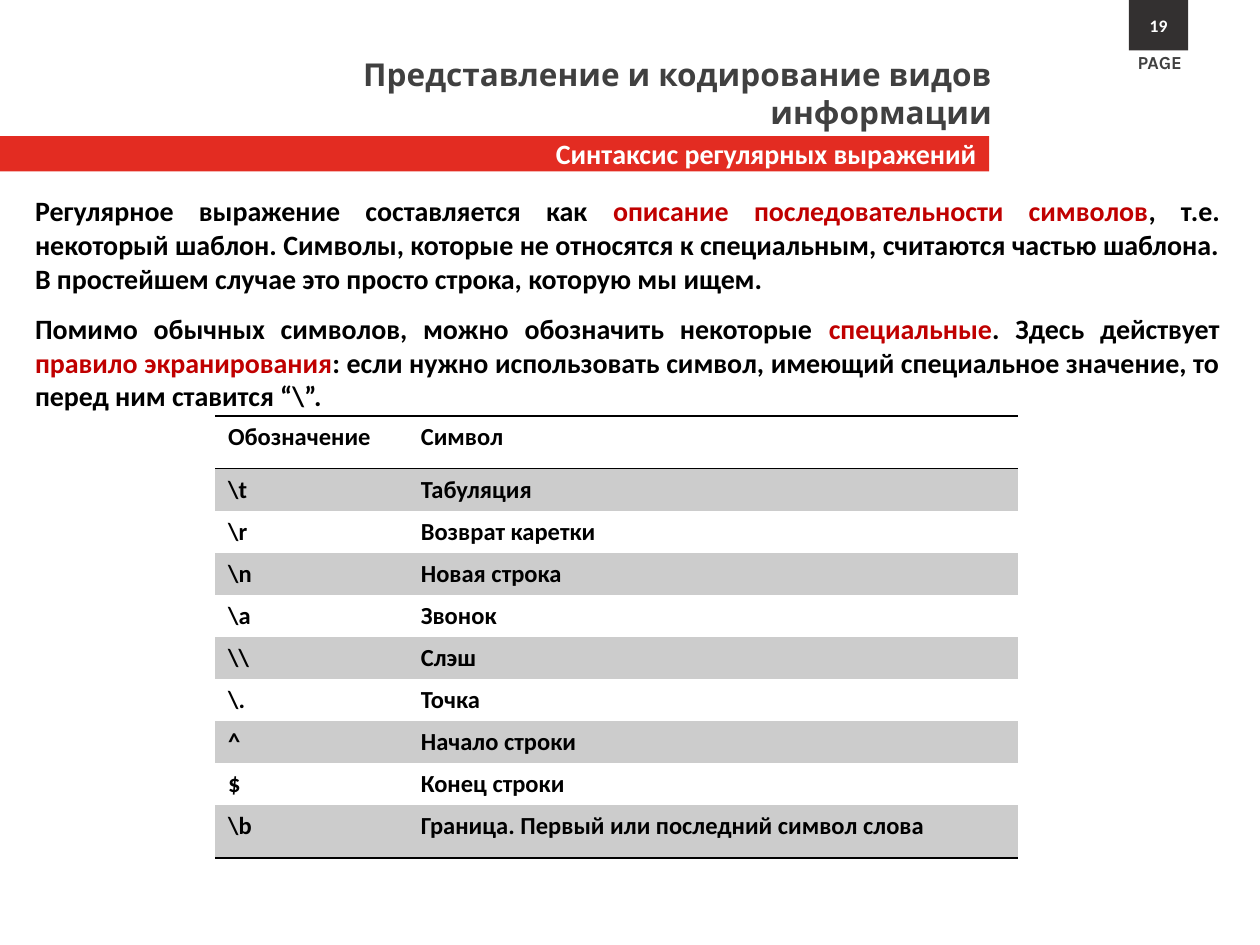
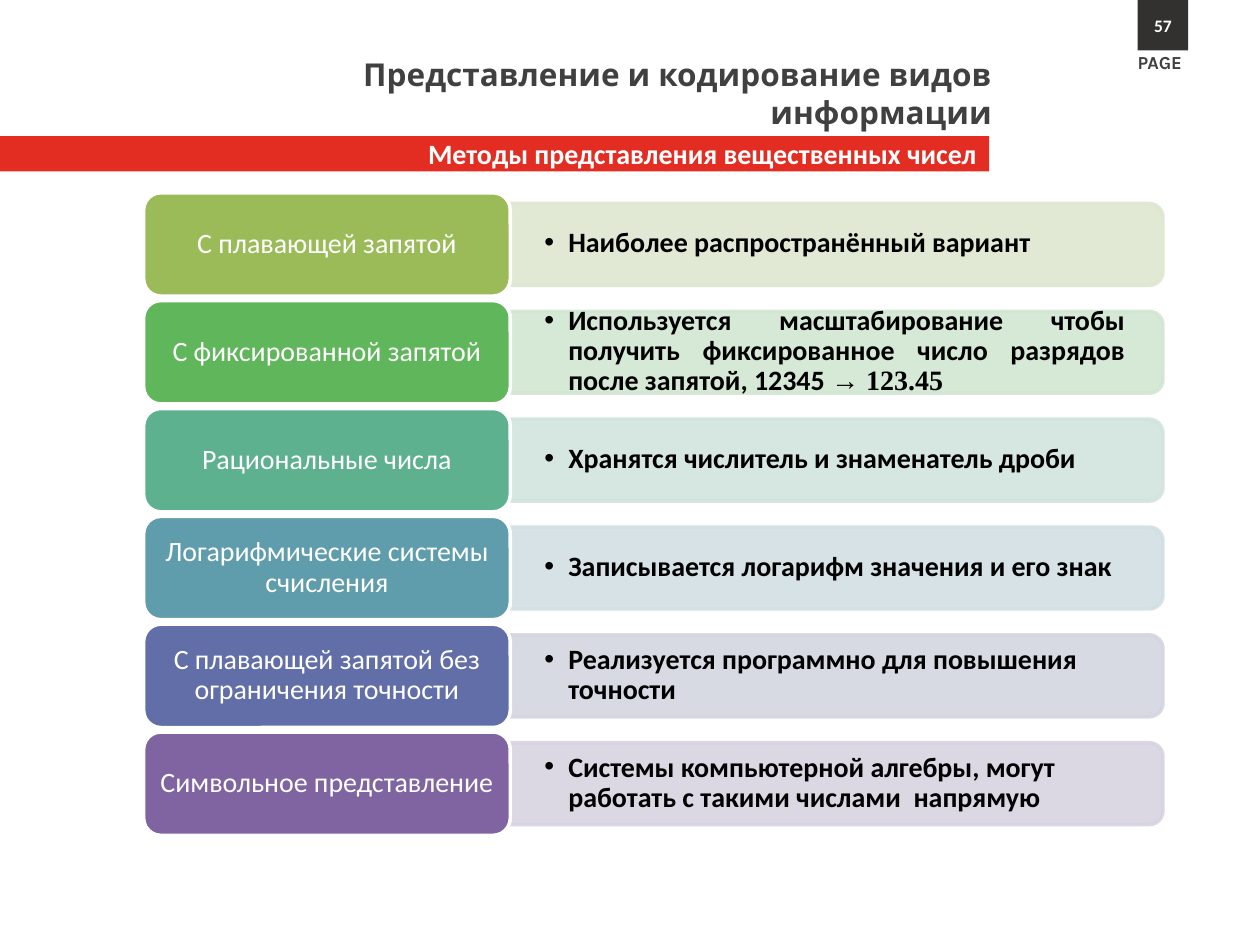
"""Build two slides on regular expressions and real numbers."""
from dataclasses import dataclass
from lxml.etree import SubElement
from pptx import Presentation
from pptx.dml.color import RGBColor
from pptx.enum.shapes import MSO_SHAPE as Kind
from pptx.enum.text import MSO_ANCHOR as Anchor, PP_ALIGN as Align
from pptx.oxml.ns import qn
from pptx.util import Inches, Pt


@dataclass(frozen=True)
class Theme:
    red: str = "E32C22"
    dark: str = "333030"
    gray: str = "404040"
    band: str = "CCCCCC"
    key: str = "C00000"
    black: str = "000000"
    white: str = "FFFFFF"
    sans: str = "Calibri"
    head: str = "Karla"
    serif: str = "Times New Roman"
    title: float = 18
    body: float = 16
    cell: float = 14
    page: float = 10.5
    num: float = 10


look = Theme()


def write(frame, *parts, size=look.body, color=look.black, bold=True, font=look.sans,
          align=Align.LEFT, anchor=Anchor.TOP, pad=(0.1, 0.05), wrap=True,
          lead=None, gap=None, mark=None):
    """Add one paragraph; a part is text or (text, color, font)."""
    frame.word_wrap = wrap
    frame.vertical_anchor = anchor
    frame.margin_left = frame.margin_right = Inches(pad[0])
    frame.margin_top = frame.margin_bottom = Inches(pad[1])
    para = frame.paragraphs[0]
    if para.runs:
        para = frame.add_paragraph()
    para.alignment = align
    if lead:
        para.line_spacing = lead
    if gap:
        para.space_before = Pt(gap)
    if mark:
        props = para._p.get_or_add_pPr()
        props.set("marL", str(Inches(0.19)))
        props.set("indent", str(-Inches(0.19)))
        SubElement(props, qn("a:buFont"), typeface="Arial")
        SubElement(props, qn("a:buChar"), char=mark)
    for part in parts:
        text, tint, face = (part, color, font) if isinstance(part, str) else part
        run = para.add_run()
        run.text = text
        run.font.size = Pt(size)
        run.font.bold = bold
        run.font.name = face
        run.font.color.rgb = RGBColor.from_string(tint)


def block(slide, kind, box, fill, line=None):
    """Add a flat filled shape."""
    shape = slide.shapes.add_shape(kind, *map(Inches, box))
    shape.shadow.inherit = False
    shape.fill.solid()
    shape.fill.fore_color.rgb = RGBColor.from_string(fill)
    if line:
        shape.line.color.rgb = RGBColor.from_string(line)
        shape.line.width = Pt(2)
    else:
        shape.line.fill.background()
    return shape


deck = Presentation()
deck.slide_width, deck.slide_height = Inches(10), Inches(7.5)

pages = []
for topic, num, wide in [("Синтаксис регулярных выражений", "19", 0.47),
                         ("Методы представления вещественных чисел", "57", 0.4)]:
    slide = deck.slides.add_slide(deck.slide_layouts[6])
    pages.append(slide)
    strip = block(slide, Kind.RECTANGLE, (0, 1.08, 7.85, 0.28), look.red)
    write(strip.text_frame, topic, color=look.white, align=Align.RIGHT, anchor=Anchor.MIDDLE)
    label = slide.shapes.add_textbox(Inches(8.93), Inches(0.36), Inches(0.59), Inches(0.28))
    write(label.text_frame, "PAGE", size=look.page, color=look.gray, font=look.head, wrap=False)
    badge = block(slide, Kind.RECTANGLE, (9.43 - wide, 0, wide, 0.4), look.dark)
    write(badge.text_frame, num, size=look.num, color=look.white, align=Align.CENTER,
          anchor=Anchor.MIDDLE)
    title = slide.shapes.add_textbox(Inches(1.14), Inches(0.39), Inches(6.83), Inches(0.4))
    write(title.text_frame, "Представление и кодирование видов информации",
          size=look.title, color=look.gray, font=look.head, align=Align.RIGHT)

syntax, reals = pages

intro = syntax.shapes.add_textbox(Inches(0.18), Inches(1.49), Inches(9.6), Inches(1.8))
write(intro.text_frame, "Регулярное выражение составляется как ",
      ("описание последовательности символов", look.key, look.sans),
      ", т.е. некоторый шаблон. Символы, которые не относятся к специальным, "
      "считаются частью шаблона. В простейшем случае это просто строка, которую мы ищем.",
      align=Align.JUSTIFY)
write(intro.text_frame, "Помимо обычных символов, можно обозначить некоторые ",
      ("специальные", look.key, look.sans), ". Здесь действует ",
      ("правило экранирования", look.key, look.sans),
      ": если нужно использовать символ, имеющий специальное значение, "
      "то перед ним ставится “\\”.", align=Align.JUSTIFY, gap=9.75)

codes = [("Обозначение", "Символ"), ("\\t", "Табуляция"), ("\\r", "Возврат каретки"),
         ("\\n", "Новая строка"), ("\\a", "Звонок"), ("\\\\", "Слэш"), ("\\.", "Точка"),
         ("^", "Начало строки"), ("$", "Конец строки"),
         ("\\b", "Граница. Первый или последний символ слова")]
last = len(codes) - 1
table = syntax.shapes.add_table(len(codes), 2, Inches(1.71), Inches(3.3),
                                Inches(6.37), Inches(3.4)).table
table.first_row = table.horz_banding = False
style = table._tbl.tblPr.find(qn("a:tableStyleId"))
style.text = "{2D5ABB26-0587-4C30-8999-92F81FD0307C}"
for col, wide in zip(table.columns, (1.53, 4.84)):
    col.width = Inches(wide)
for row, texts in enumerate(codes):
    table.rows[row].height = Inches(0.42 if row in (0, last) else 0.32)
    edges = {0: ("a:lnT", "a:lnB"), last: ("a:lnB",)}.get(row, ())
    for col, text in enumerate(texts):
        cell = table.cell(row, col)
        write(cell.text_frame, text, size=look.cell)
        for edge in edges:
            line = SubElement(cell._tc.get_or_add_tcPr(), qn(edge), w=str(Pt(1)))
            SubElement(SubElement(line, qn("a:solidFill")), qn("a:srgbClr"), val=look.black)
        if row % 2:
            cell.fill.solid()
            cell.fill.fore_color.rgb = RGBColor.from_string(look.band)
        else:
            cell.fill.background()

forms = [
    ("С плавающей запятой", "9BBB59", "DEE7D1", ["Наиболее распространённый вариант"]),
    ("С фиксированной запятой", "5FB65B", "D2E6D2",
     ["Используется масштабирование чтобы получить фиксированное число разрядов "
      "после запятой, 12345 ", ("→ 123.45", look.black, look.serif)]),
    ("Рациональные числа", "5DB18E", "D2E4DD", ["Хранятся числитель и знаменатель дроби"]),
    ("Логарифмические системы счисления", "5F9DAC", "D2DFE3",
     ["Записывается логарифм значения и его знак"]),
    ("С плавающей запятой без ограничения точности", "626EA7", "D3D6E1",
     ["Реализуется программно для повышения точности"]),
    ("Символьное представление", "8064A2", "D8D3E0",
     ["Системы компьютерной алгебры, могут работать с такими числами  напрямую"]),
]
left, top, wide, high = 1.14, 1.53, 2.91, 0.82
step = 4.28 / (len(forms) - 1)
thick, long = 0.65, 5.18
start = left + wide
for row, (name, dark, pale, note) in enumerate(forms):
    y = top + row * step
    mid = y + high / 2
    bar = block(reals, Kind.ROUND_2_SAME_RECTANGLE,
                (start + (long - thick) / 2, mid - long / 2, thick, long), pale, pale)
    bar.rotation = 90
    for tint in bar._element.spPr.iter(qn("a:srgbClr")):
        SubElement(tint, qn("a:alpha"), val="90000")
    text = reals.shapes.add_textbox(Inches(start), Inches(mid - 0.3), Inches(5.15), Inches(0.59))
    write(text.text_frame, *note, align=Align.JUSTIFY if len(note) > 1 else Align.LEFT,
          anchor=Anchor.MIDDLE, pad=(0.27, 0.14), lead=0.9, mark="•")
    card = block(reals, Kind.ROUNDED_RECTANGLE, (left, y, wide, high), dark, look.white)
    write(card.text_frame, name, color=look.white, bold=False, align=Align.CENTER,
          anchor=Anchor.MIDDLE, pad=(0.07, 0.03), lead=0.9)

deck.save("out.pptx")
